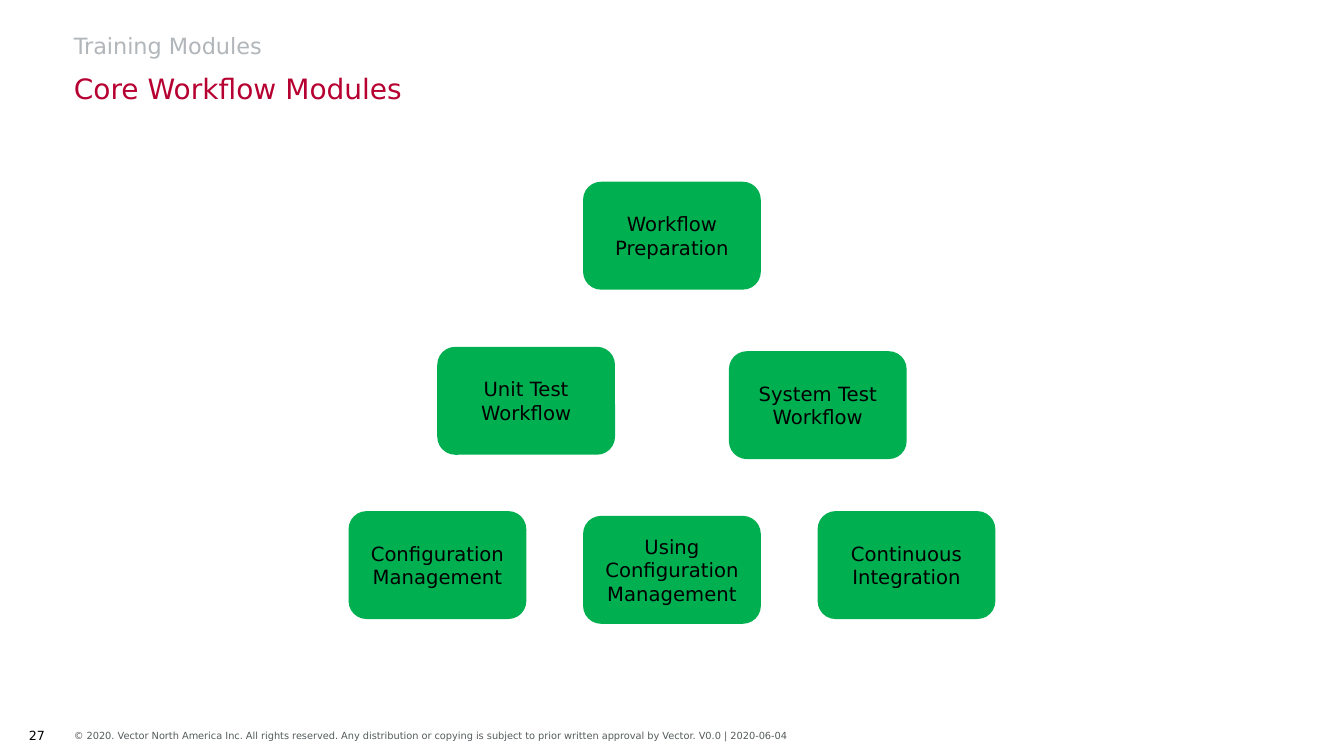
from lxml import etree
from pptx import Presentation
from pptx.dml.color import RGBColor
from pptx.enum.shapes import MSO_SHAPE
from pptx.enum.text import MSO_ANCHOR as Anchor, MSO_AUTO_SIZE as AutoSize, PP_ALIGN as Align
from pptx.oxml.ns import qn
from pptx.util import Cm, Pt

# Content
TITLE = "Training Modules"
SUBTITLE = "Core Workflow Modules"
PAGE_NUMBER = "27"
COPYRIGHT = ("© 2020. Vector North America Inc. All rights reserved. Any distribution or copying "
             "is subject to prior written approval by Vector. V0.0 | 2020-06-04")

# Each row: distance between box centres, then (name, top) per box, in cm
MODULE_ROWS = [
    (0, [("Workflow Preparation", 4.58)]),
    (7.35, [("Unit Test Workflow", 8.74), ("System Test Workflow", 8.85)]),
    (5.91, [("Configuration Management", 12.88),
            ("Using Configuration Management", 13),
            ("Continuous Integration", 12.88)]),
]

# Style
FONT = "DejaVu Sans"
GREEN = RGBColor(0x00, 0xB0, 0x50)
RED = RGBColor(0xB7, 0x00, 0x32)
LIGHT_GRAY = RGBColor(0xB1, 0xB6, 0xBA)
DARK_GRAY = RGBColor(0x56, 0x5C, 0x5E)
BLACK = RGBColor(0, 0, 0)

SLIDE_WIDTH, SLIDE_HEIGHT = 33.87, 19.05
MARGIN = 1.86
BOX_WIDTH, BOX_HEIGHT = 4.48, 2.72
FOOTER_TOP, FOOTER_HEIGHT = 18, 1.05


def place(shape, left, top, width, height):
    shape.left, shape.top = Cm(left), Cm(top)
    shape.width, shape.height = Cm(width), Cm(height)


def write(shape, text, size, color, anchor=Anchor.MIDDLE, align=Align.LEFT, inset=0):
    frame = shape.text_frame
    frame.text = text
    frame.word_wrap = True
    frame.auto_size = AutoSize.NONE
    frame.vertical_anchor = anchor
    frame.margin_left = frame.margin_right = Cm(inset)
    frame.margin_top = frame.margin_bottom = Cm(inset / 2)
    paragraph = frame.paragraphs[0]
    paragraph.alignment = align
    paragraph.space_before = Pt(0)
    font = paragraph.font
    font.name, font.size, font.color.rgb = FONT, Pt(size), color
    return paragraph


presentation = Presentation()
presentation.slide_width, presentation.slide_height = Cm(SLIDE_WIDTH), Cm(SLIDE_HEIGHT)
slide = presentation.slides.add_slide(presentation.slide_layouts[1])

# Headings
title, subtitle = slide.shapes.title, slide.placeholders[1]
place(title, MARGIN, 0.71, 24.84, 0.79)
write(title, TITLE, 16, LIGHT_GRAY, Anchor.BOTTOM).line_spacing = 0.9

place(subtitle, MARGIN, 1.75, 24.84, 0.89)
paragraph = write(subtitle, SUBTITLE, 20, RED, Anchor.BOTTOM)
properties = paragraph._p.get_or_add_pPr()
properties.set("marL", "0")
properties.set("indent", "0")
properties.insert_element_before(etree.Element(qn("a:buNone")), "a:tabLst", "a:defRPr", "a:extLst")

# Module boxes, each row centred on the slide
for pitch, modules in MODULE_ROWS:
    for index, (name, top) in enumerate(modules):
        center = SLIDE_WIDTH / 2 + (index - (len(modules) - 1) / 2) * pitch
        box = slide.shapes.add_shape(
            MSO_SHAPE.ROUNDED_RECTANGLE,
            Cm(center - BOX_WIDTH / 2), Cm(top), Cm(BOX_WIDTH), Cm(BOX_HEIGHT))
        box.shadow.inherit = False
        box.fill.solid()
        box.fill.fore_color.rgb = GREEN
        box.line.fill.background()
        write(box, name, 14, BLACK, align=Align.CENTER, inset=0.25)

# Footer
for text, left, width, size, color, align in [
    (PAGE_NUMBER, 0, MARGIN, 9, BLACK, Align.CENTER),
    (COPYRIGHT, MARGIN, 30.2, 7, DARK_GRAY, Align.LEFT),
]:
    footer = slide.shapes.add_textbox(Cm(left), Cm(FOOTER_TOP), Cm(width), Cm(FOOTER_HEIGHT))
    write(footer, text, size, color, align=align)

presentation.save("out.pptx")
